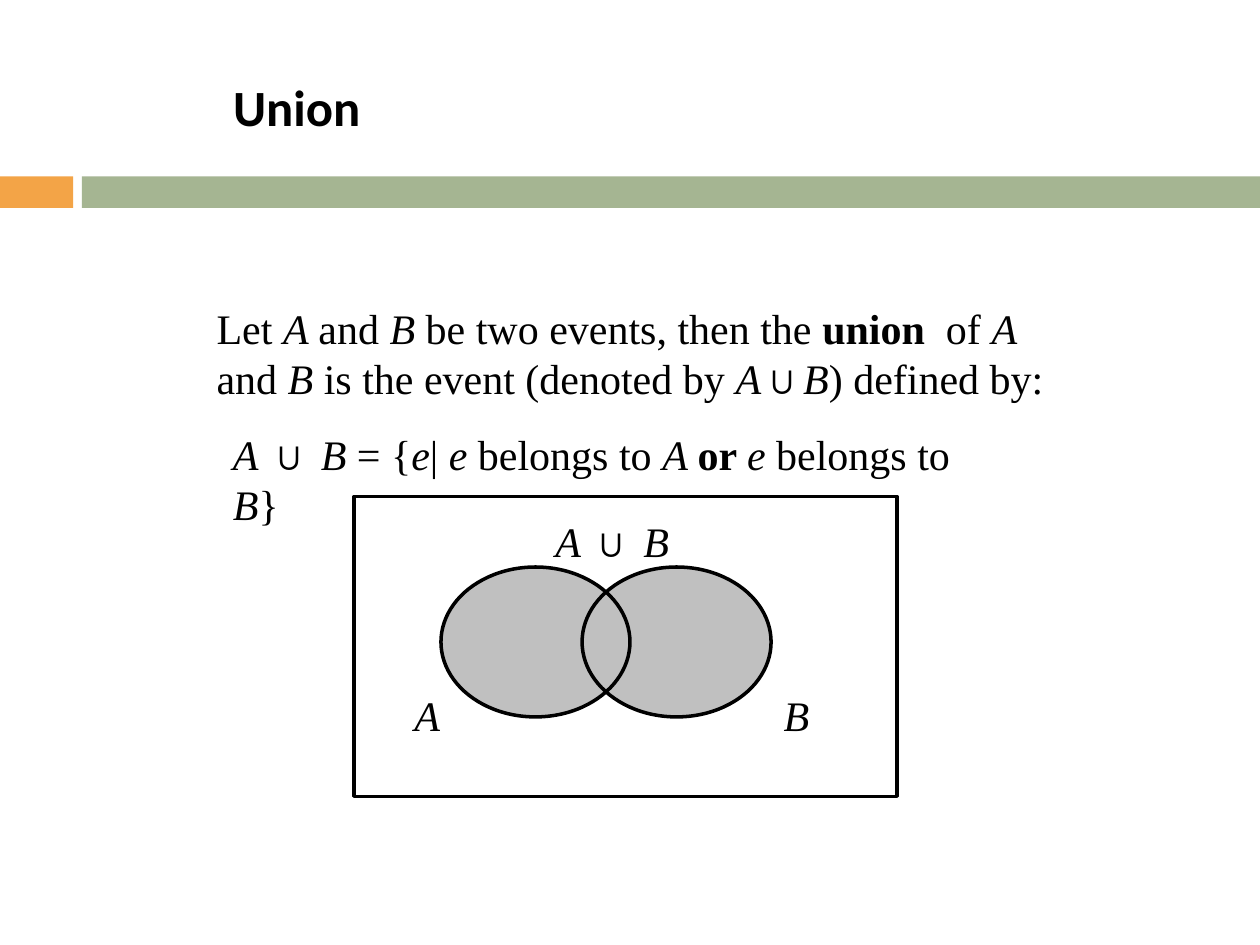
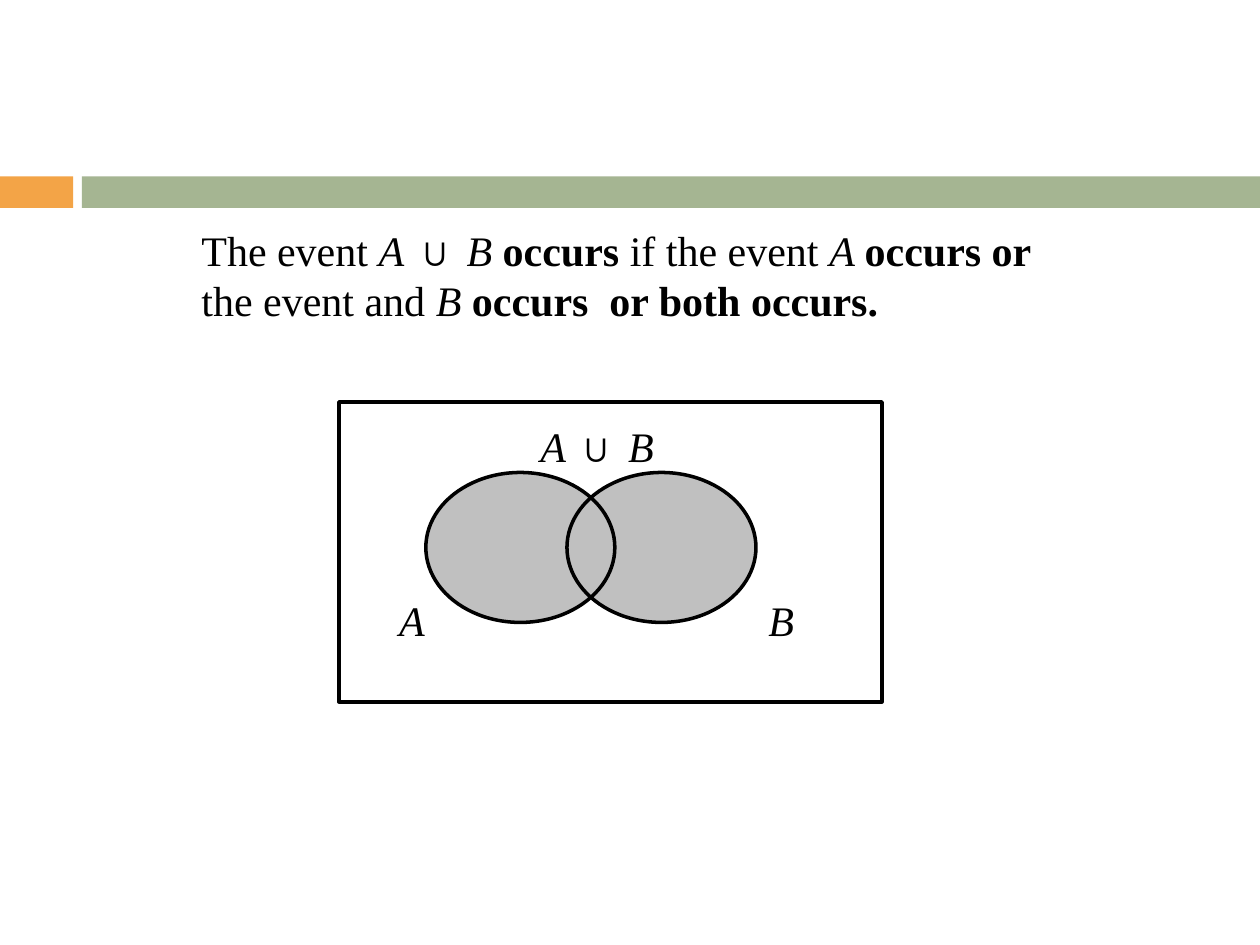
from dataclasses import dataclass
from pptx import Presentation
from pptx.dml.color import RGBColor
from pptx.enum.shapes import MSO_SHAPE
from pptx.enum.text import MSO_ANCHOR, MSO_AUTO_SIZE, PP_ALIGN
from pptx.util import Inches, Pt


@dataclass(frozen=True)
class Theme:
    ink: str = "000000"
    fill: str = "C0C0C0"
    accent: str = "F3A447"
    band: str = "A5B592"
    head: str = "Calibri"
    body: str = "Times New Roman"
    big: int = 29
    size: int = 24
    line: int = 2


# * switches italic, _ switches bold
PAGES = [
    {
        "title": "Union",
        "texts": [
            ("Let *A *and *B *be two events, then the _union _ of *A *and *B *"
             "is the event (denoted by *A*∪*B*) defined by:",
             (1.62, 2.31, 6.88, 0.88)),
            ("*A *∪ *B* = {*e*| *e *belongs to *A *_or _*e *belongs to *B*}",
             (1.75, 3.31, 6.31, 0.56)),
        ],
        "venn": (2.81, 3.94),
    },
    {
        "title": None,
        "texts": [
            ("The event *A *∪ *B *_occurs _if the event *A *_occurs or _"
             "the event and *B *_occurs  or both occurs._",
             (1.5, 1.69, 6.88, 0.88)),
        ],
        "venn": (2.69, 3.19),
    },
]
BANDS = [("accent", (0, 1.4, 0.58, 0.25)), ("band", (0.65, 1.4, 9.35, 0.25))]
TITLE = (1.75, 0.61, 1.34, 0.57)
FRAME = (0, 0, 4.31, 2.38)
SETS = [(0.69 + 1.12 * n, 0.56, 1.5, 1.19) for n in range(2)]
LABELS = [
    ("*A *∪ *B*", (1.5, 0.06, 1.24, 0.44)),
    ("*A*", (0.38, 1.44, 0.38, 0.38)),
    ("*B*", (3.31, 1.44, 0.38, 0.44)),
]
THEME = Theme()


def rgb(name):
    return RGBColor.from_string(getattr(THEME, name))


def units(box):
    return [Inches(v) for v in box]


def shift(box, start):
    return (box[0] + start[0], box[1] + start[1], *box[2:])


def draw(slide, kind, box, fill=None, line=None):
    shape = slide.shapes.add_shape(kind, *units(box))
    shape.shadow.inherit = False
    if fill:
        shape.fill.solid()
        shape.fill.fore_color.rgb = rgb(fill)
    else:
        shape.fill.background()
    if line:
        shape.line.color.rgb = rgb(line)
        shape.line.width = Pt(THEME.line)
    else:
        shape.line.fill.background()
    return shape


def write(slide, text, box, holder=None, font=THEME.body, size=THEME.size,
          bold=False, top=0.09, lead=1.0):
    shape = holder or slide.shapes.add_textbox(*units(box))
    shape.left, shape.top, shape.width, shape.height = units(box)
    frame = shape.text_frame
    frame.word_wrap = True
    frame.auto_size = MSO_AUTO_SIZE.NONE
    frame.vertical_anchor = MSO_ANCHOR.TOP
    frame.margin_top = Inches(top)
    para = frame.paragraphs[0]
    para.alignment = PP_ALIGN.LEFT
    para.line_spacing = lead
    for i, part in enumerate(text.split("*")):
        for b, bit in enumerate(part.split("_")):
            if bit:
                run = para.add_run()
                run.text = bit
                run.font.name = font
                run.font.size = Pt(size)
                run.font.color.rgb = rgb("ink")
                run.font.italic = i % 2 == 1
                run.font.bold = bold or b % 2 == 1


def venn(slide, start):
    for box in SETS:
        draw(slide, MSO_SHAPE.OVAL, shift(box, start), fill="fill")
    draw(slide, MSO_SHAPE.RECTANGLE, shift(FRAME, start), line="ink")
    for box in SETS:
        draw(slide, MSO_SHAPE.OVAL, shift(box, start), line="ink")
    for text, box in LABELS:
        write(slide, text, shift(box, start))


def brand(layout, slide):
    for spot, (color, box) in enumerate(BANDS):
        shape = draw(slide, MSO_SHAPE.RECTANGLE, box, fill=color)
        layout.shapes.element.insert(2 + spot, shape.element)


def main():
    deck = Presentation()
    deck.slide_width, deck.slide_height = units((10, 7.5))
    layout = deck.slide_layouts[5]
    for num, page in enumerate(PAGES):
        slide = deck.slides.add_slide(layout)
        if num == 0:
            brand(layout, slide)
        head = slide.shapes.title
        if page["title"]:
            write(slide, page["title"], TITLE, holder=head, font=THEME.head,
                  size=THEME.big, bold=True, top=0.05, lead=0.9)
        else:
            head.element.getparent().remove(head.element)
        venn(slide, page["venn"])
        for text, box in page["texts"]:
            write(slide, text, box)
    deck.save("out.pptx")


if __name__ == "__main__":
    main()
